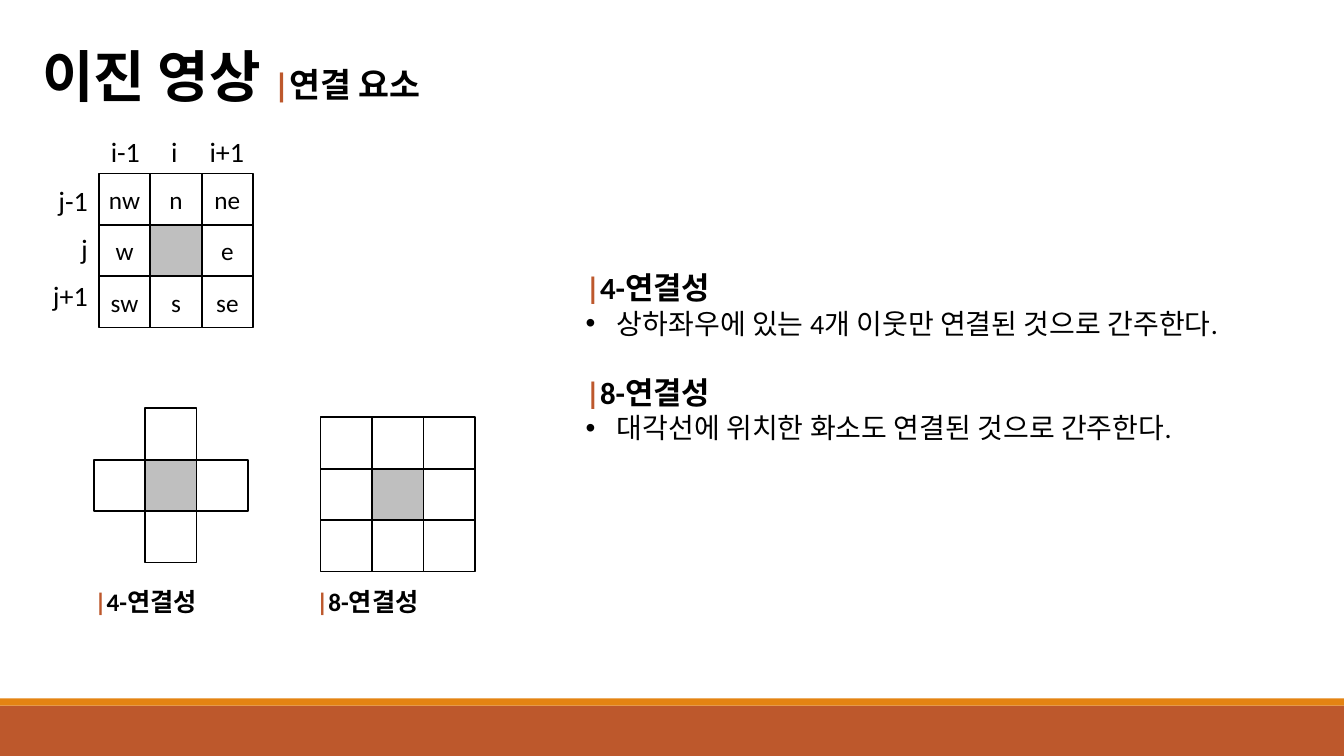
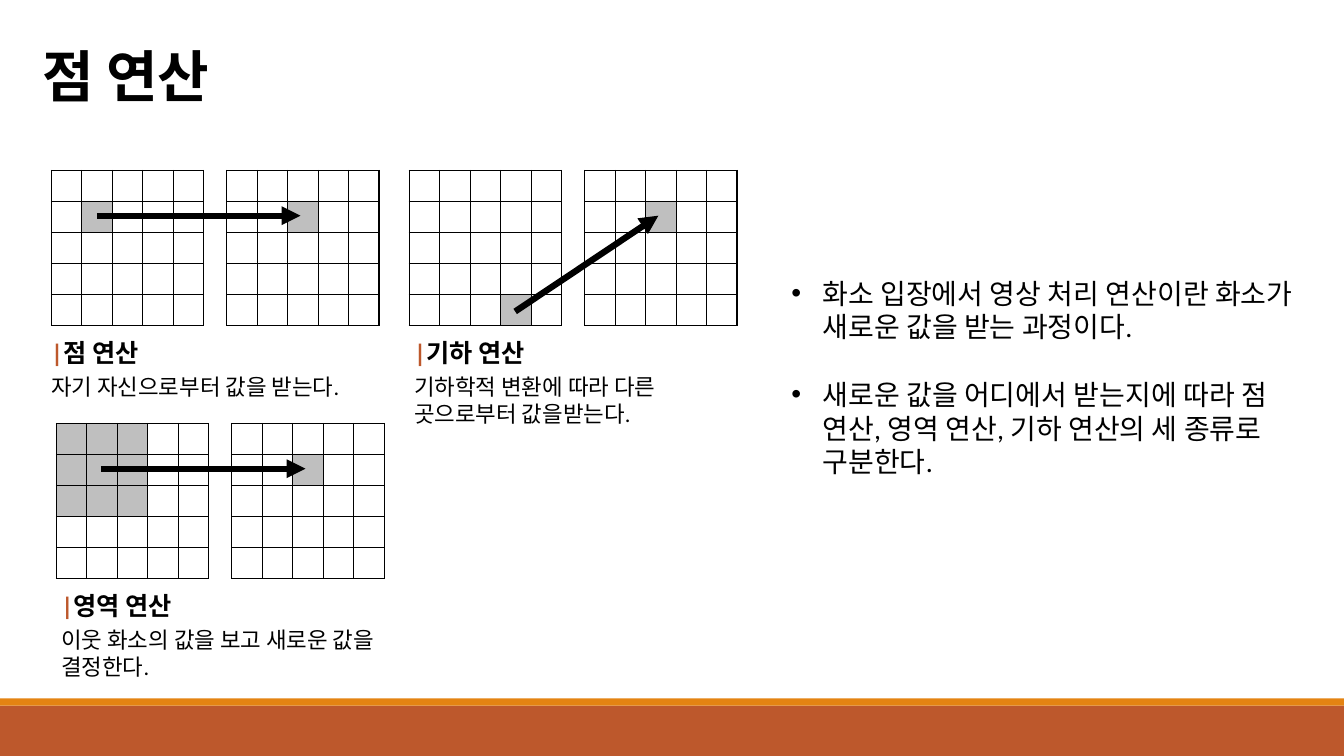
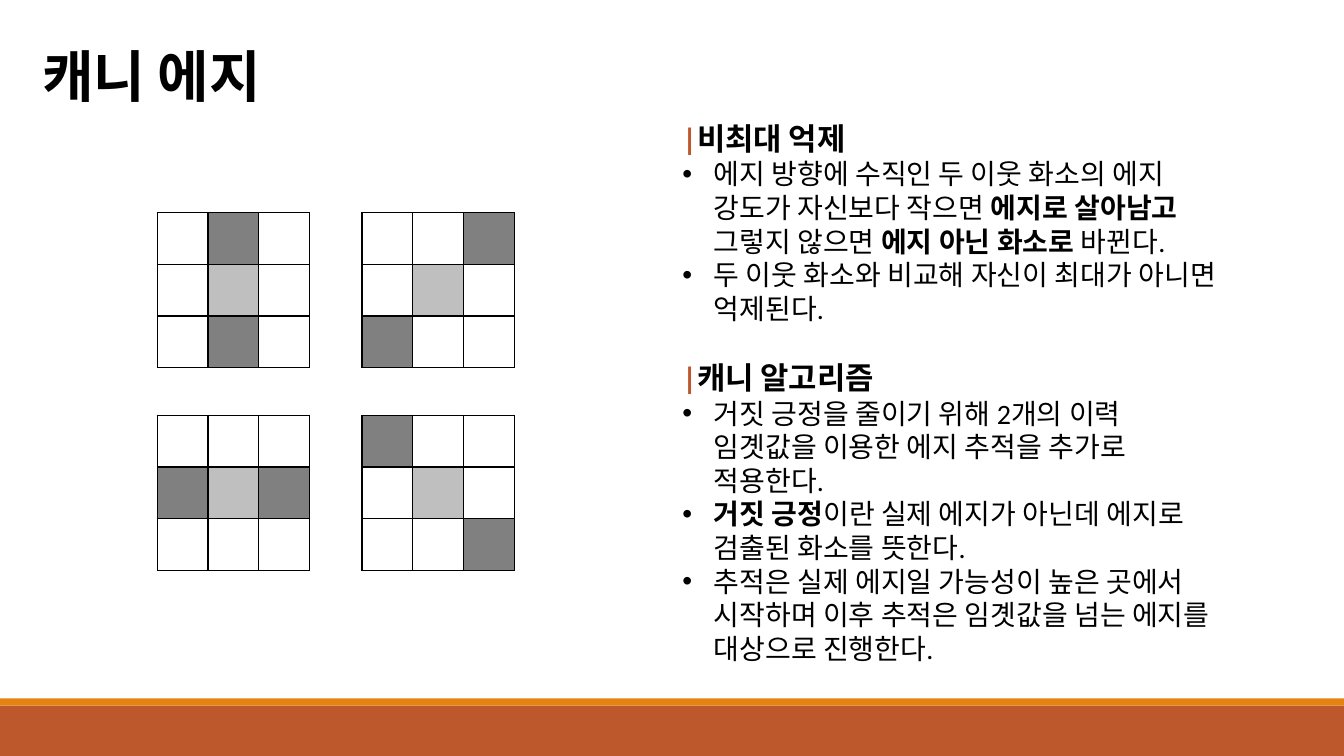
"""Builds three lecture slides on binary images, point operations and Canny edges."""
from lxml import etree
from pptx import Presentation
from pptx import util as u
from pptx.dml.color import RGBColor
from pptx.enum import shapes, text
from pptx.oxml import ns

PX = 9144
COLORS = {"black": "000000", "white": "FFFFFF", "rust": "BD582C", "orange": "E48312",
          "light": "BFBFBF", "dark": "808080"}
CELL_FILLS = {".": "white", "o": "light", "#": "dark"}
LATIN, HANGUL = "Calibri", "Noto Sans CJK KR"
BANDS = [("rust", (0, 700, 1333, 50)), ("orange", (0, 693, 1333, 7))]
BULLET_INDENT = 31
CELL = 51
TABLE_SIZE = (151, 154)

CONNECTIVITY = {
    "title": ("이진 영상 ", "연결 요소"),
    "cell_grids": [
        ((98, 172), [["nw", "n", "ne"], ["w", "", "e"], ["sw", "s", "se"]]),
        ((93, 405), [[None, "", None], ["", "", ""], [None, "", None]]),
        ((318, 414), [[""] * 3] * 3),
    ],
    "column_labels": ((100, 129, 182, 44), "i-1\ti\ti+1", (60, 98)),
    "row_labels": ((-2, 177, 99, 138), ["j-1", "j", "j+1"], 10),
    "notes": [
        ((571, 262, 700, 185), (22, 20), [
            ("head", "4-연결성", 0),
            ("bullet", "상하좌우에 있는 4개 이웃만 연결된 것으로 간주한다.", 0),
            ("head", "8-연결성", 24.4),
            ("bullet", "대각선에 위치한 화소도 연결된 것으로 간주한다.", 0)]),
        ((84, 577, 143, 41), (18, 16), [("head", "4-연결성", 0)]),
        ((304, 577, 155, 41), (18, 16), [("head", "8-연결성", 0)]),
    ],
}

POINT_TARGET = [".....", "..o..", ".....", ".....", "....."]
OPERATIONS = {
    "title": ("점 연산", ""),
    "tables": [
        ((51, 169), [".....", ".o...", ".....", ".....", "....."]),
        ((225, 169), POINT_TARGET),
        ((56, 420), ["ooo..", "ooo..", "ooo..", ".....", "....."]),
        ((230, 420), POINT_TARGET),
        ((406, 169), [".....", ".....", ".....", ".....", "...o."]),
        ((580, 169), POINT_TARGET),
    ],
    "arrows": [(96, 214, 298, 214), (100, 465, 303, 465), (511, 309, 653, 214)],
    "notes": [
        ((775, 269, 541, 212), (22, 20), [
            ("bullet", "화소 입장에서 영상 처리 연산이란 화소가 새로운 값을 받는 과정이다.", 0),
            ("bullet", "새로운 값을 어디에서 받는지에 따라 점 연산, 영역 연산, 기하 연산의 "
                       "세 종류로 구분한다.", 24.4)]),
        ((41, 330, 357, 72), (18, 16), [
            ("head", "점 연산", 0), ("plain", "자기 자신으로부터 값을 받는다.", 3.7)]),
        ((51, 581, 357, 99), (18, 16), [
            ("head", "영역 연산", 0),
            ("plain", "이웃 화소의 값을 보고 새로운 값을 결정한다.", 3.7)]),
        ((401, 330, 357, 99), (18, 16), [
            ("head", "기하 연산", 0),
            ("plain", "기하학적 변환에 따라 다른 곳으로부터 값을받는다.", 3.7)]),
    ],
}

CANNY = {
    "title": ("캐니 에지", ""),
    "tables": [
        ((156, 211), [".#.", ".o.", ".#."]),
        ((359, 211), ["..#", ".o.", "#.."]),
        ((156, 412), ["...", "#o#", "..."]),
        ((359, 412), ["#..", ".o.", "..#"]),
    ],
    "notes": [
        ((667, 114, 553, 589), (22, 20), [
            ("head", "비최대 억제", 0),
            ("bullet", "에지 방향에 수직인 두 이웃 화소의 에지 강도가 자신보다 작으면 "
                       "**에지로 살아남고** 그렇지 않으면 **에지 아닌 화소로 **바뀐다.", 0),
            ("bullet", "두 이웃 화소와 비교해 자신이 최대가 아니면 억제된다.", 0),
            ("head", "캐니 알고리즘", 24.4),
            ("bullet", "거짓 긍정을 줄이기 위해 2개의 이력 임곗값을 이용한 에지 추적을 "
                       "추가로 적용한다.", 0),
            ("bullet", "**거짓 긍정**이란 실제 에지가 아닌데 에지로 검출된 화소를 뜻한다.", 0),
            ("bullet", "추적은 실제 에지일 가능성이 높은 곳에서 시작하며 이후 추적은 "
                       "임곗값을 넘는 에지를 대상으로 진행한다.", 0)]),
    ],
}


def emu(*lengths):
    return [u.Emu(round(length * PX)) for length in lengths]


def rgb(name):
    return RGBColor.from_string(COLORS[name])


def sub(parent, tag, **attributes):
    return etree.SubElement(parent, ns.qn(tag), attributes)


def style(run, size, color="black", bold=False, font=LATIN):
    run.font.size, run.font.bold, run.font.name = u.Pt(size), bold, font
    run.font.color.rgb = rgb(color)


def add_run(paragraph, words, *args, **kwargs):
    run = paragraph.add_run()
    run.text = words
    style(run, *args, **kwargs)


def add_box(slide, frame, wrap=True):
    text_frame = slide.shapes.add_textbox(*emu(*frame)).text_frame
    text_frame.word_wrap = wrap
    return text_frame


def add_rectangle(slide, frame, fill, line=None):
    shape = slide.shapes.add_shape(shapes.MSO_SHAPE.RECTANGLE, *emu(*frame))
    shape.shadow.inherit = False
    shape.fill.solid()
    shape.fill.fore_color.rgb = rgb(fill)
    if line:
        shape.line.color.rgb, shape.line.width = rgb(line), u.Pt(1.25)
    else:
        shape.line.fill.background()
    return shape


def add_bands_to_layout(slide):
    for fill, frame in BANDS:
        band = add_rectangle(slide, frame, fill)
        slide.slide_layout.shapes._spTree.append(band._element)


def add_title(slide, title, subtitle):
    paragraph = add_box(slide, (32, 36, 442, 77), wrap=False).paragraphs[0]
    add_run(paragraph, title, 40, bold=True, font=HANGUL)
    if subtitle:
        add_run(paragraph, "|", 24, "rust", True)
        add_run(paragraph, subtitle, 24, bold=True)


def paragraphs_of(text_frame, count):
    for _ in range(count - 1):
        text_frame.add_paragraph()
    return text_frame.paragraphs


def add_notes(slide, frame, sizes, lines):
    head_size, body_size = sizes
    paragraphs = paragraphs_of(add_box(slide, frame), len(lines))
    for paragraph, (kind, words, gap) in zip(paragraphs, lines):
        if gap:
            paragraph.space_before = u.Pt(gap)
        if kind == "head":
            add_run(paragraph, "|", head_size, "rust", True)
            add_run(paragraph, words, head_size, bold=True)
            continue
        if kind == "bullet":
            properties = paragraph._p.get_or_add_pPr()
            indent = BULLET_INDENT * PX
            properties.set("marL", str(indent))
            properties.set("indent", str(-indent))
            sub(properties, "a:buFont", typeface="Arial")
            sub(properties, "a:buChar", char="•")
        for index, part in enumerate(words.split("**")):
            if part:
                add_run(paragraph, part, body_size, bold=index % 2 == 1)


def add_cell_grid(slide, origin, rows):
    left, top = origin
    for i, row in enumerate(rows):
        for j, label in enumerate(row):
            if label is None:
                continue
            fill = "light" if (i, j) == (1, 1) else "white"
            frame = (left + j * CELL, top + i * CELL, CELL, CELL)
            shape = add_rectangle(slide, frame, fill, "black")
            if label:
                text_frame = shape.text_frame
                text_frame.text = label
                text_frame.word_wrap = False
                text_frame.vertical_anchor = text.MSO_ANCHOR.MIDDLE
                paragraph = text_frame.paragraphs[0]
                paragraph.alignment = text.PP_ALIGN.CENTER
                style(paragraph.runs[0], 18)


def add_column_labels(slide, frame, words, stops):
    paragraph = add_box(slide, frame).paragraphs[0]
    tabs = sub(paragraph._p.get_or_add_pPr(), "a:tabLst")
    for stop in stops:
        sub(tabs, "a:tab", pos=str(stop * PX), algn="l")
    add_run(paragraph, words, 20)


def add_row_labels(slide, frame, labels, gap):
    paragraphs = paragraphs_of(add_box(slide, frame), len(labels))
    for index, (paragraph, label) in enumerate(zip(paragraphs, labels)):
        paragraph.alignment = text.PP_ALIGN.RIGHT
        if index:
            paragraph.space_before = u.Pt(gap)
        add_run(paragraph, label, 20)


def format_cell(cell, fill):
    cell.margin_left = cell.margin_right = cell.margin_top = cell.margin_bottom = 0
    cell.fill.solid()
    cell.fill.fore_color.rgb = rgb(fill)
    cell.text_frame.paragraphs[0]._p.get_or_add_endParaRPr().set("sz", "800")
    properties = cell._tc.get_or_add_tcPr()
    for index, side in enumerate("LRTB"):
        border = etree.Element(ns.qn("a:ln" + side), w=str(u.Pt(1)))
        sub(sub(border, "a:solidFill"), "a:srgbClr", val=COLORS["black"])
        properties.insert(index, border)


def add_pixel_table(slide, origin, pattern):
    count = len(pattern)
    width, height = TABLE_SIZE
    table = slide.shapes.add_table(count, count, *emu(*origin, width, height)).table
    for column in table.columns:
        column.width = emu(width / count)[0]
    for row, marks in zip(table.rows, pattern):
        row.height = emu(height / count)[0]
        for cell, mark in zip(row.cells, marks):
            format_cell(cell, CELL_FILLS[mark])


def add_arrow(slide, *ends):
    arrow = slide.shapes.add_connector(shapes.MSO_CONNECTOR.STRAIGHT, *emu(*ends))
    arrow.line.color.rgb, arrow.line.width = rgb("black"), u.Pt(4.5)
    sub(arrow.line._get_or_add_ln(), "a:tailEnd", type="triangle")
    sub(arrow._element.spPr, "a:effectLst")


def fill_slide(slide, content):
    add_title(slide, *content["title"])
    for note in content["notes"]:
        add_notes(slide, *note)
    for grid in content.get("cell_grids", []):
        add_cell_grid(slide, *grid)
    for table in content.get("tables", []):
        add_pixel_table(slide, *table)
    for ends in content.get("arrows", []):
        add_arrow(slide, *ends)
    if "column_labels" in content:
        add_column_labels(slide, *content["column_labels"])
        add_row_labels(slide, *content["row_labels"])


def main():
    presentation = Presentation()
    presentation.slide_width, presentation.slide_height = u.Inches(13.33), u.Inches(7.5)
    blank = presentation.slide_layouts[6]
    for index, content in enumerate([CONNECTIVITY, OPERATIONS, CANNY]):
        slide = presentation.slides.add_slide(blank)
        if index == 0:
            add_bands_to_layout(slide)
        fill_slide(slide, content)
    presentation.save("out.pptx")


if __name__ == "__main__":
    main()
